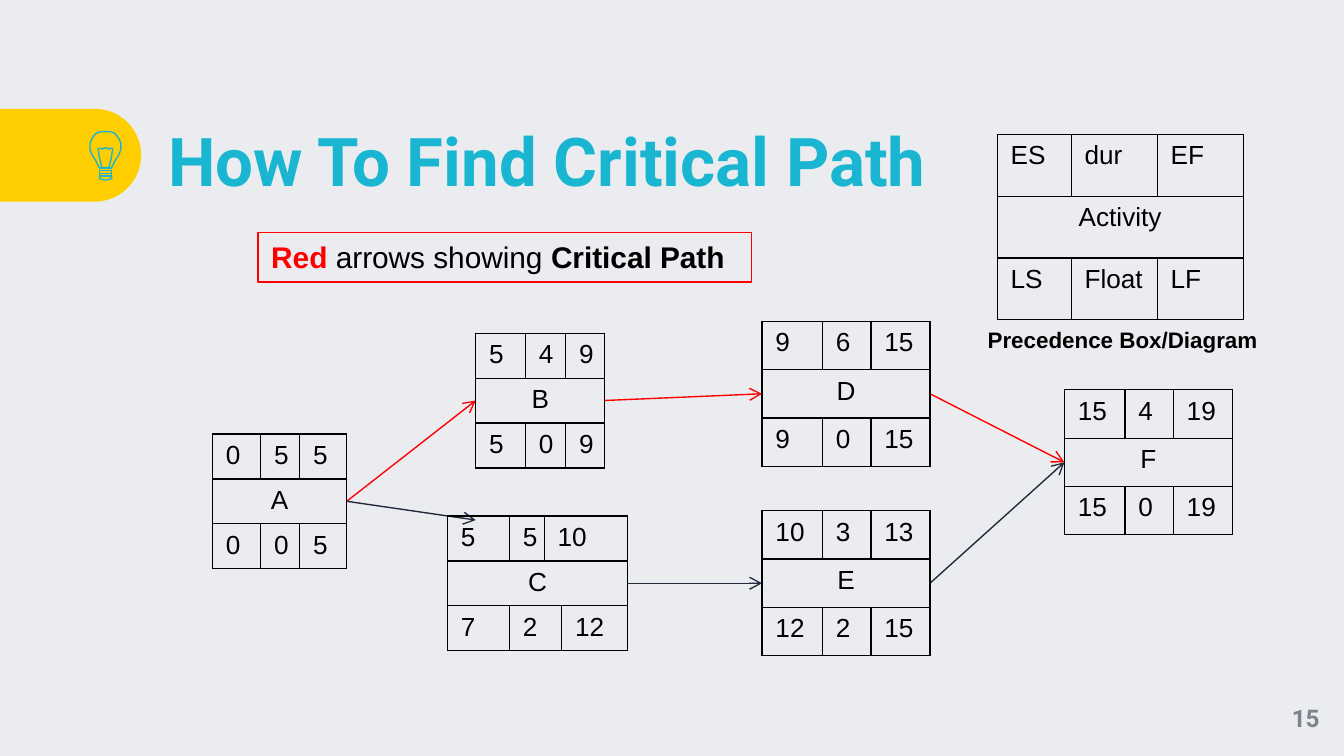
from dataclasses import dataclass

from lxml.etree import SubElement
from pptx import Presentation
from pptx.dml.color import RGBColor
from pptx.enum.shapes import MSO_CONNECTOR, MSO_SHAPE
from pptx.enum.text import MSO_ANCHOR, PP_ALIGN
from pptx.oxml import parse_xml
from pptx.oxml.ns import nsdecls, qn
from pptx.util import Inches, Pt

BACKGROUND = RGBColor(0xEA, 0xEC, 0xF0)
YELLOW = RGBColor(0xFF, 0xCE, 0x00)
TEAL = RGBColor(0x1A, 0xB6, 0xD1)
GRAY = RGBColor(0x80, 0x82, 0x8B)
BLACK = RGBColor(0x00, 0x00, 0x00)
RED = RGBColor(0xFF, 0x00, 0x00)
NAVY = RGBColor(0x24, 0x28, 0x3B)
LINE_WIDTH = Pt(0.75)

Point = tuple[float, float]


@dataclass(frozen=True)
class TextRun:
    text: str
    size: float
    color: RGBColor = BLACK
    bold: bool = False
    font: str = "Arial"


@dataclass(frozen=True)
class ActivityBox:
    """Precedence box; each top or bottom cell is (text, columns spanned)."""
    left: float
    top: float
    height: float
    columns: tuple[float, ...]
    rows: tuple[float, ...]
    name: str
    early: tuple[tuple[str, int], ...]
    late: tuple[tuple[str, int], ...]

    @property
    def entry(self) -> Point:
        return self.left, self.top + self.height / 2

    @property
    def exit(self) -> Point:
        return self.left + sum(self.columns), self.top + self.height / 2


def single(*texts: str) -> tuple[tuple[str, int], ...]:
    return tuple((text, 1) for text in texts)


WIDE = (0.45, 0.36, 0.44)
LOW_ROWS = (0.24, 0.28, 0.28)
EVEN_ROWS = (0.36,) * 3
BOX_A = ActivityBox(1.58, 3.23, 1, (0.36, 0.29, 0.35), (0.3,) * 3, "A",
                    single("0", "5", "5"), single("0", "0", "5"))
BOX_B = ActivityBox(3.54, 2.48, 1, (0.37, 0.3, 0.29), LOW_ROWS, "B",
                    single("5", "4", "9"), single("5", "0", "9"))
BOX_C = ActivityBox(3.33, 3.84, 1, (0.46, 0.26, 0.13, 0.49), (1 / 3,) * 3, "C",
                    (("5", 1), ("5", 1), ("10", 2)), (("7", 1), ("2", 2), ("12", 1)))
BOX_D = ActivityBox(5.67, 2.39, 1.08, WIDE, EVEN_ROWS, "D",
                    single("9", "6", "15"), single("9", "0", "15"))
BOX_E = ActivityBox(5.67, 3.8, 1.08, WIDE, EVEN_ROWS, "E",
                    single("10", "3", "13"), single("12", "2", "15"))
BOX_F = ActivityBox(7.92, 2.9, 1.08, WIDE, EVEN_ROWS, "F",
                    single("15", "4", "19"), single("15", "0", "19"))
LEGEND = ActivityBox(7.42, 1, 1.37, (0.55, 0.64, 0.64), (0.46,) * 3, "Activity",
                     single("ES", "dur", "EF"), single("LS", "Float", "LF"))

# C is reached at its top edge
ARROWS = (
    (BOX_A.exit, BOX_B.entry, RED),
    (BOX_B.exit, BOX_D.entry, RED),
    (BOX_A.exit, (3.54, 3.87), NAVY),
    (BOX_C.exit, BOX_E.entry, NAVY),
    (BOX_D.exit, BOX_F.entry, RED),
    (BOX_E.exit, BOX_F.entry, NAVY),
)

# Bulb icon in hundredths of an inch; halves are mirrored around its axis
BULB_AXIS_SUM = 157
GLASS_HALF = ((74, 125), (73, 123), (72, 121), (71, 119), (69, 116), (68, 114),
              (67, 111), (67, 107), (68, 104), (70, 101), (72, 99), (75, 98), (78, 98))
CAP_HALF = ((74, 131), (74, 133), (78, 134))
SUPPORT = ((76, 125), (74, 117), (73, 110))
FILAMENT_HALF = ((74, 110), (76, 111), (78, 110))


def mirrored(points: tuple) -> tuple:
    return tuple((BULB_AXIS_SUM - x, y) for x, y in points)


def write_runs(paragraph, runs: tuple[TextRun, ...]) -> None:
    for item in runs:
        run = paragraph.add_run()
        run.text = item.text
        formats = {"size": Pt(item.size), "bold": item.bold, "name": item.font}
        for attribute, value in formats.items():
            setattr(run.font, attribute, value)
        run.font.color.rgb = item.color


def add_text(slide, left: float, top: float, width: float, height: float,
             run: TextRun, inset: bool = True, **formats) -> None:
    frame = slide.shapes.add_textbox(*map(Inches, (left, top, width, height))).text_frame
    frame.word_wrap = True
    if not inset:
        frame.vertical_anchor = MSO_ANCHOR.MIDDLE
        for side in ("left", "right", "top", "bottom"):
            setattr(frame, f"margin_{side}", 0)
    paragraph = frame.paragraphs[0]
    for attribute, value in formats.items():
        setattr(paragraph, attribute, value)
    write_runs(paragraph, (run,))


def add_line(slide, start: Point, end: Point, color: RGBColor, arrow: bool = True) -> None:
    connector = slide.shapes.add_connector(
        MSO_CONNECTOR.STRAIGHT, *map(Inches, (*start, *end)))
    connector.line.color.rgb = color
    connector.line.width = LINE_WIDTH
    if arrow:
        SubElement(connector.line._get_or_add_ln(), qn("a:tailEnd"), type="arrow")
    SubElement(connector._element.spPr, qn("a:effectLst"))


def add_outline(slide, points: tuple, close: bool = False) -> None:
    builder = slide.shapes.build_freeform(*points[0], scale=Inches(0.01))
    builder.add_line_segments(points[1:], close=close)
    shape = builder.convert_to_shape()
    shape.shadow.inherit = False
    shape.fill.background()
    shape.line.color.rgb = TEAL
    shape.line.width = LINE_WIDTH


def style_cell(cell) -> None:
    cell.fill.background()
    properties = cell._tc.get_or_add_tcPr()
    for index, side in enumerate(("lnL", "lnR", "lnT", "lnB")):
        properties.insert(index, parse_xml(
            f'<a:{side} {nsdecls("a")} w="{LINE_WIDTH}"><a:solidFill>'
            f'<a:srgbClr val="{BLACK}"/></a:solidFill></a:{side}>'))


def add_activity(slide, box: ActivityBox) -> None:
    count = len(box.columns)
    graphic_frame = slide.shapes.add_table(3, count, *map(
        Inches, (box.left, box.top, sum(box.columns), box.height)))
    table = graphic_frame.table
    table.first_row = table.horz_banding = False
    for column, width in zip(table.columns, box.columns):
        column.width = Inches(width)
    for row, height in zip(table.rows, box.rows):
        row.height = Inches(height)
    graphic_frame.height = Inches(box.height)
    for cell in table.iter_cells():
        style_cell(cell)
    for row, entries in enumerate((box.early, ((box.name, count),), box.late)):
        column = 0
        for text, span in entries:
            cell = table.cell(row, column)
            if span > 1:
                cell.merge(table.cell(row, column + span - 1))
            paragraph = cell.text_frame.paragraphs[0]
            paragraph.alignment = PP_ALIGN.CENTER if row == 1 else PP_ALIGN.LEFT
            write_runs(paragraph, (TextRun(text, 14),))
            column += span


def main() -> None:
    presentation = Presentation()
    presentation.slide_width = Inches(10)
    presentation.slide_height = Inches(10 * 9 / 16)
    slide = presentation.slides.add_slide(presentation.slide_layouts[6])
    slide.background.fill.solid()
    slide.background.fill.fore_color.rgb = BACKGROUND

    # Yellow tab and slide number
    tab = slide.shapes.add_shape(MSO_SHAPE.ROUND_2_SAME_RECTANGLE,
                                 *map(Inches, (0.18, 0.63, 0.69, 1.05)))
    tab.rotation = 90
    tab.adjustments[0] = 0.5
    tab.shadow.inherit = False
    tab.fill.solid()
    tab.fill.fore_color.rgb = YELLOW
    tab.line.fill.background()
    add_text(slide, 9.43, 5.06, 0.57, 0.56, TextRun("15", 13, GRAY, True, "Roboto"),
             inset=False, alignment=PP_ALIGN.CENTER)

    # Bulb icon
    for top in (129, 127):
        add_outline(slide, ((74, top), (83, top), (83, top + 2), (74, top + 2)), close=True)
    add_outline(slide, CAP_HALF + mirrored(CAP_HALF)[::-1], close=True)
    for points in (SUPPORT, mirrored(SUPPORT), GLASS_HALF + mirrored(GLASS_HALF)[::-1],
                   FILAMENT_HALF + mirrored(FILAMENT_HALF)[::-1]):
        add_outline(slide, points)
    add_line(slide, (0.74, 1.25), (0.83, 1.25), TEAL, arrow=False)

    # Network of activities, with the arrows and the legend
    for start, end, color in ARROWS:
        add_line(slide, start, end, color)
    for box in (BOX_A, BOX_B, BOX_C, BOX_D, BOX_E, BOX_F, LEGEND):
        add_activity(slide, box)
    add_text(slide, 7.25, 2.38, 2.42, 0.3, TextRun("Precedence Box/Diagram", 12, bold=True))

    # Title and critical path note
    add_text(slide, 1.25, 0.73, 7.99, 1,
             TextRun("How To Find Critical Path", 36, TEAL, True, "Roboto"),
             inset=False, line_spacing=0.9)
    note = slide.shapes.add_shape(MSO_SHAPE.RECTANGLE, *map(Inches, (1.92, 1.73, 3.67, 0.37)))
    note.shadow.inherit = False
    note.fill.background()
    note.line.color.rgb = RED
    note.line.width = LINE_WIDTH
    note.text_frame.word_wrap = True
    note.text_frame.vertical_anchor = MSO_ANCHOR.TOP
    paragraph = note.text_frame.paragraphs[0]
    paragraph.alignment = PP_ALIGN.LEFT
    write_runs(paragraph, (TextRun("Red", 16, RED, True), TextRun(" arrows showing ", 16),
                           TextRun("Critical Path", 16, bold=True)))

    presentation.save("out.pptx")


if __name__ == "__main__":
    main()
